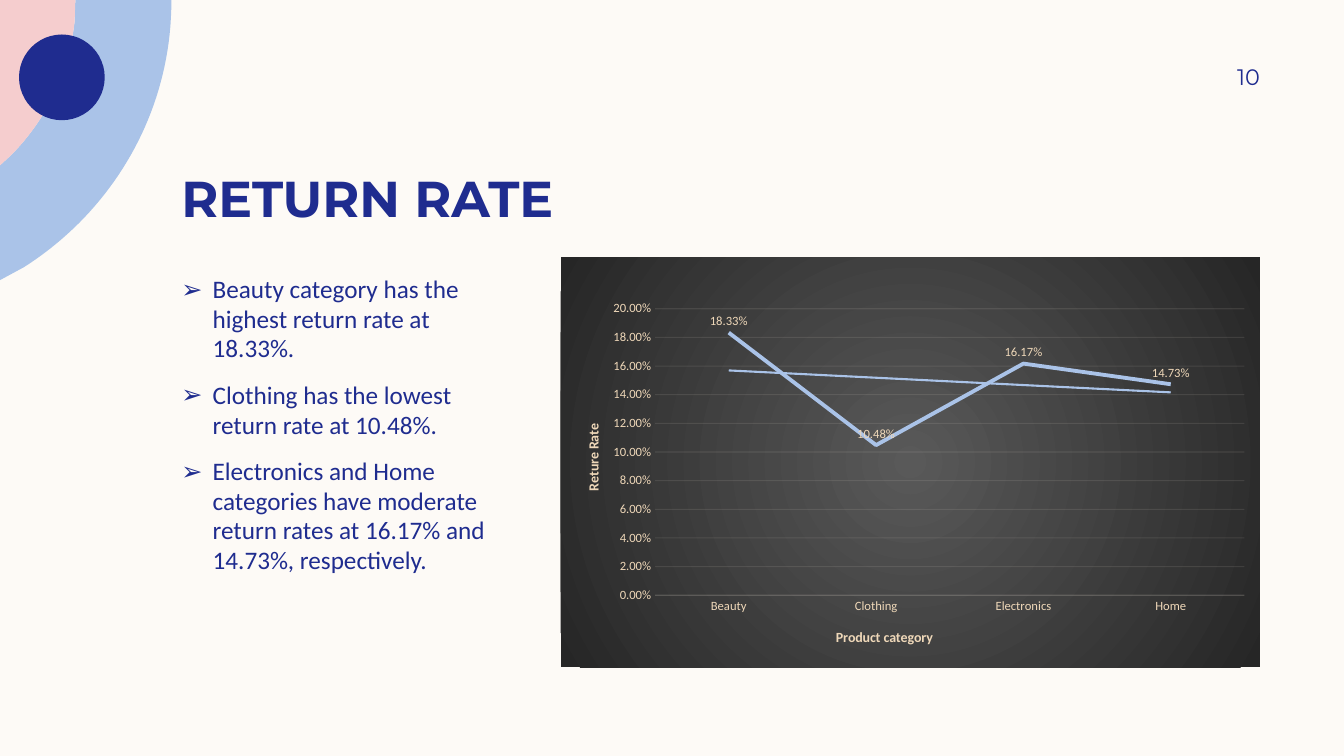
from pptx import Presentation
from pptx.chart.data import CategoryChartData
from pptx.dml.color import RGBColor
from pptx.enum.chart import XL_CHART_TYPE as CHART, XL_LABEL_POSITION as LABEL, XL_TICK_MARK as TICK
from pptx.enum.shapes import MSO_SHAPE as SHAPE
from pptx.enum.text import MSO_ANCHOR as ANCHOR, PP_ALIGN as ALIGN
from pptx.oxml import parse_xml
from pptx.oxml.ns import nsdecls
from pptx.util import Cm, Pt

NAVY, BLUE, PINK, CREAM = "1F2C8F", "AAC3E8", "F5CDCE", "FDFAF6"
SAND, GRID = "EFD8B9", "F8EFE2"


def rgb(value):
    return RGBColor.from_string(value)


def xml(text):
    head, tail = text.split(">", 1)
    slash = "/" if head.endswith("/") else ""
    return parse_xml(f"{head.rstrip('/')} {nsdecls('a', 'c')}{slash}>{tail}")


def bezier(a, b, c, d, steps=40):
    points = []
    for i in range(steps + 1):
        t = i / steps
        u = 1 - t
        weights = (u ** 3, 3 * u * u * t, 3 * u * t * t, t ** 3)
        points.append(tuple(sum(w * q[k] for w, q in zip(weights, (a, b, c, d))) for k in (0, 1)))
    return points


def place(parent, index, x, y, w=None, h=None):
    for old in parent.xpath("c:layout"):
        parent.remove(old)
    values = {"xMode": "edge", "yMode": "edge", "x": x, "y": y}
    target = ""
    if w:
        target = '<c:layoutTarget val="inner"/>'
        values.update(w=w, h=h)
    items = "".join(f'<c:{k} val="{v}"/>' for k, v in values.items())
    parent.insert(index, xml(f"<c:layout><c:manualLayout>{target}{items}</c:manualLayout></c:layout>"))


class Deck:
    heading, body = "Montserrat", "Calibri"

    def __init__(self):
        self.prs = Presentation()
        self.prs.slide_width, self.prs.slide_height = Cm(33.87), Cm(19.05)
        self.s = self.prs.slides.add_slide(self.prs.slide_layouts[6])
        fill = self.s.background.fill
        fill.solid()
        fill.fore_color.rgb = rgb(CREAM)

    def paint(self, sp, color):
        sp.shadow.inherit = False
        sp.fill.solid()
        sp.fill.fore_color.rgb = rgb(color)
        sp.line.fill.background()

    def outline(self, points, color):
        points = [(Cm(x), Cm(y)) for x, y in points]
        builder = self.s.shapes.build_freeform(*points[0])
        builder.add_line_segments(points[1:], close=True)
        self.paint(builder.convert_to_shape(), color)

    def circle(self, x, y, size, color):
        self.paint(self.s.shapes.add_shape(SHAPE.OVAL, Cm(x), Cm(y), Cm(size), Cm(size)), color)

    def style(self, font, size, name, color, bold=False):
        font.size, font.name, font.bold = Pt(size), name, bold
        font.color.rgb = rgb(color)

    def text(self, box, lines, size, name, bold=False, anchor=ANCHOR.TOP, align=ALIGN.LEFT,
             right=0.25, bullet=None):
        tf = self.s.shapes.add_textbox(*map(Cm, box)).text_frame
        tf.word_wrap, tf.vertical_anchor = True, anchor
        tf.margin_left, tf.margin_right = Cm(0.25), Cm(right)
        tf.margin_top = tf.margin_bottom = 0
        tf.text = "\n".join(lines)
        for p in tf.paragraphs:
            p.alignment = align
            self.style(p.runs[0].font, size, name, NAVY, bold)
            if bullet:
                p.space_after, p.line_spacing = Pt(12), 0.98
                pPr = p._p.get_or_add_pPr()
                pPr.set("marL", str(Cm(0.79)))
                pPr.set("indent", str(-Cm(0.79)))
                pPr.append(xml('<a:buFont typeface="Wingdings"/>'.replace("Wingdings", "Arial")))
                pPr.append(xml(f'<a:buChar char="{bullet}"/>'))

    def faint(self, line):
        line.width = Pt(0.75)
        line.color.rgb = rgb(GRID)
        line._get_or_add_ln().xpath(".//a:srgbClr")[0].append(xml('<a:alpha val="10000"/>'))

    def axis(self, axis, title, x, y, turn=0):
        axis.major_tick_mark = axis.minor_tick_mark = TICK.NONE
        self.style(axis.tick_labels.font, 9, self.body, SAND)
        tf = axis.axis_title.text_frame
        tf.text = title
        self.style(tf.paragraphs[0].runs[0].font, 10, self.body, SAND, True)
        tf._txBody.bodyPr.set("rot", str(turn * 60000))
        tf._txBody.bodyPr.set("vert", "horz")
        place(axis.axis_title._element, 1, x, y)

    def line_chart(self, box, rates):
        data = CategoryChartData(number_format="0.00%")
        data.categories = list(rates)
        data.add_series("Series 1", rates.values())
        chart = self.s.shapes.add_chart(CHART.LINE, *map(Cm, box), data).chart
        chart.has_legend = chart.has_title = False
        self.style(chart.font, 10, self.body, "000000")
        space = chart._chartSpace
        space.xpath("c:chart")[0].addnext(xml(
            '<c:spPr><a:gradFill><a:gsLst>'
            '<a:gs pos="0"><a:srgbClr val="595959"/></a:gs>'
            '<a:gs pos="100000"><a:srgbClr val="262626"/></a:gs></a:gsLst>'
            '<a:path path="circle"><a:fillToRect l="50000" t="50000" r="50000" b="50000"/></a:path>'
            '</a:gradFill><a:ln><a:noFill/></a:ln></c:spPr>'))
        place(space.xpath("c:chart/c:plotArea")[0], 0, 0.135, 0.126, 0.843, 0.699)

        categories, values = chart.category_axis, chart.value_axis
        self.axis(categories, "Product category", 0.39, 0.9)
        self.faint(categories.format.line)
        self.axis(values, "Reture Rate", 0.03, 0.4, -90)
        values.minimum_scale, values.maximum_scale, values.major_unit = 0, 0.2, 0.02
        values.tick_labels.number_format = "0.00%"
        values.tick_labels.number_format_is_linked = False
        values.format.line.fill.background()
        self.faint(values.major_gridlines.format.line)

        plot = chart.plots[0]
        plot.vary_by_categories = False
        series = plot.series[0]
        series.smooth = False
        series.format.line.color.rgb = rgb(BLUE)
        series.format.line.width = Pt(2.75)
        series.marker.style = None
        series._element.xpath("c:marker")[0].insert(0, xml('<c:symbol val="none"/>')) \
            if not series._element.xpath("c:marker/c:symbol") else None
        labels = series.data_labels
        labels.show_value, labels.position = True, LABEL.ABOVE
        labels.number_format, labels.number_format_is_linked = "0.00%", False
        self.style(labels.font, 9, self.body, SAND)
        series._element.xpath("c:cat")[0].addprevious(xml(
            f'<c:trendline><c:spPr><a:ln w="{Pt(1.5)}"><a:solidFill><a:srgbClr val="{BLUE}"/>'
            '</a:solidFill></a:ln></c:spPr><c:trendlineType val="linear"/>'
            '<c:dispRSqr val="0"/><c:dispEq val="0"/></c:trendline>'))


def main():
    deck = Deck()
    inner = [(1.9, 0)] + bezier((1.88, 0.56), (1.73, 1.85), (1.17, 3.02), (0.28, 3.91)) + [(0, 4.17)]
    outer = [(4.32, 0)] + bezier((4.32, 0.03), (4.32, 2.84), (2.84, 5.31), (0.61, 6.73)) + [(0, 7.06)]
    deck.outline(outer + inner[::-1], BLUE)
    deck.outline([(0, 0)] + inner, PINK)
    deck.circle(0.48, 0.87, 2.16, NAVY)
    deck.text((4.32, 3.02, 27.43, 2.72), ["RETURN RATE"], 36, deck.heading, True, ANCHOR.BOTTOM)
    deck.text((4.32, 6.93, 8.26, 9.83), [
        "Beauty category has the highest return rate at 18.33%.",
        "Clothing has the lowest return rate at 10.48%.",
        "Electronics and Home categories have moderate return rates at 16.17% and 14.73%, respectively.",
    ], 18, deck.body, bullet="➢")
    deck.line_chart((14.13, 6.48, 17.62, 10.33), {
        "Beauty": 0.1833, "Clothing": 0.1048, "Electronics": 0.1617, "Home": 0.1473})
    deck.text((28.78, 1.27, 2.97, 1.32), ["10"], 16, deck.heading,
              anchor=ANCHOR.MIDDLE, align=ALIGN.RIGHT, right=0)
    deck.prs.save("out.pptx")


if __name__ == "__main__":
    main()
